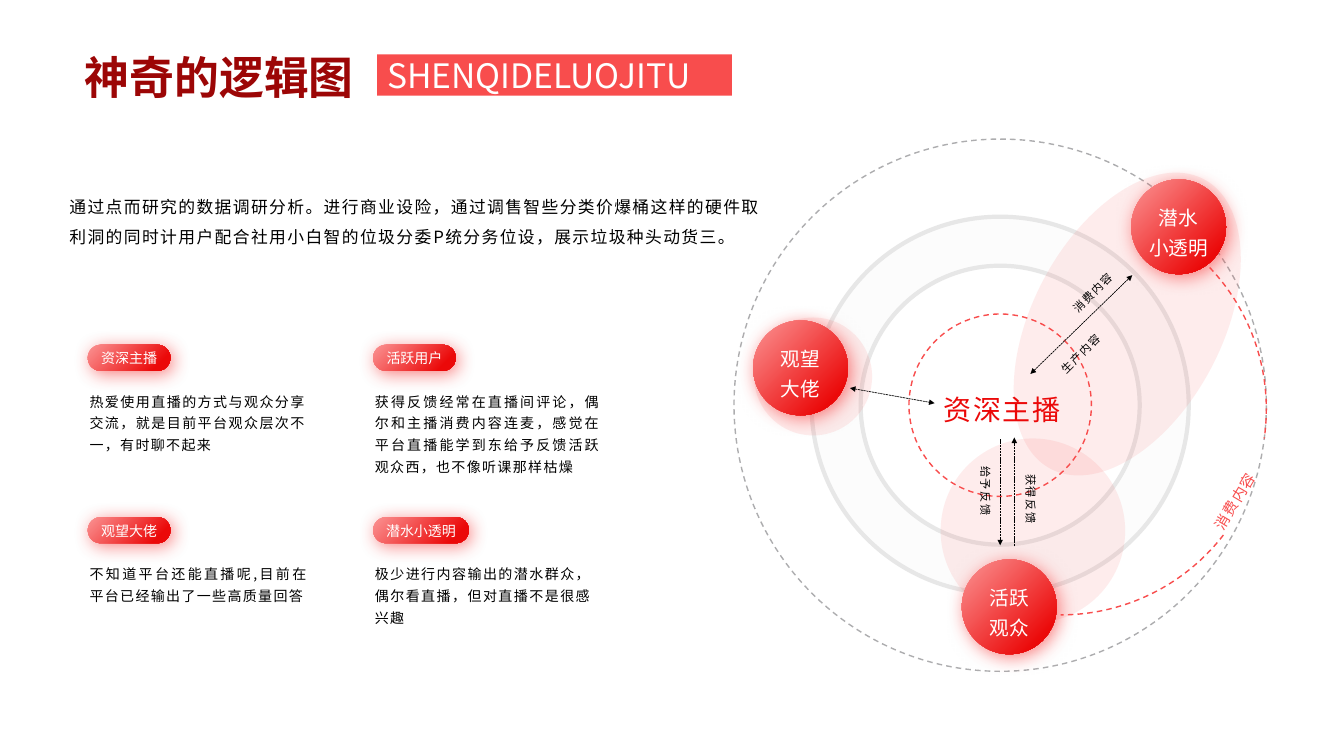
from lxml.etree import SubElement
from pptx import Presentation
from pptx.dml.color import RGBColor
from pptx.enum.dml import MSO_LINE
from pptx.enum.shapes import MSO_CONNECTOR, MSO_SHAPE
from pptx.enum.text import MSO_ANCHOR, MSO_AUTO_SIZE, PP_ALIGN
from pptx.oxml.ns import qn
from pptx.util import Inches, Pt

JP, SC = "Noto Sans CJK JP", "Noto Sans CJK SC"
RED, DEEP_RED, BLACK, WHITE = "F84D4D", "EB0909", "000000", "FFFFFF"
GLOSS = [(0, "FB9494"), (0.84, DEEP_RED)]


def rgb(color):
    return RGBColor.from_string(color)


def paint(fill, color, angle=0):
    """Fill with a hex colour, or with a gradient of (position, hex) stops."""
    if isinstance(color, str):
        fill.solid()
        fill.fore_color.rgb = rgb(color)
        return
    fill.gradient()
    fill.gradient_angle = angle
    for stop, (position, stop_color) in zip(fill.gradient_stops, color):
        stop.position = position
        stop.color.rgb = rgb(stop_color)


class DiagramSlide:
    def __init__(self, prs):
        self.s = prs.slides.add_slide(prs.slide_layouts[5])

    def shape(self, kind, x, y, w, h, fill=None, line=None, width=1, dash=None, adj=(), alpha=None, rot=0):
        sp = self.s.shapes.add_shape(kind, Inches(x), Inches(y), Inches(w), Inches(h))
        sp.shadow.inherit = False
        sp.rotation = rot
        for i, value in enumerate(adj):
            sp.adjustments[i] = value
        if fill:
            paint(sp.fill, fill, 315)
        else:
            sp.fill.background()
        if alpha:
            color = sp._element.spPr.find(qn("a:solidFill"))[0]
            SubElement(color, qn("a:alpha"), val=str(alpha * 1000))
        if line:
            paint(sp.line.fill, line)
            sp.line.width = Pt(width)
            if dash:
                sp.line.dash_style = dash
        else:
            sp.line.fill.background()
        return sp

    def circle(self, cx, cy, d, **style):
        return self.shape(MSO_SHAPE.OVAL, cx - d / 2, cy - d / 2, d, d, **style)

    def glow(self, sp):
        """Add the soft red shadow of the badges."""
        effects = sp._element.spPr.find(qn("a:effectLst"))
        shadow = SubElement(effects, qn("a:outerShdw"), blurRad=str(Pt(13)), dist=str(Pt(3)),
                            dir="2700000", algn="tl", rotWithShape="0")
        color = SubElement(shadow, qn("a:srgbClr"), val=RED)
        SubElement(color, qn("a:alpha"), val="70000")

    def arrow(self, x1, y1, x2, y2, both=False):
        cxn = self.s.shapes.add_connector(MSO_CONNECTOR.STRAIGHT, Inches(x1), Inches(y1), Inches(x2), Inches(y2))
        paint(cxn.line.fill, BLACK)
        cxn.line.width = Pt(0.5)
        cxn.line.dash_style = MSO_LINE.SQUARE_DOT
        ln = cxn._element.spPr.find(qn("a:ln"))
        for end in (["headEnd"] if both else []) + ["tailEnd"]:
            SubElement(ln, qn("a:" + end), type="triangle", w="sm", len="sm")
        SubElement(cxn._element.spPr, qn("a:effectLst"))

    def text(self, x, y, w, h, words, size, font=JP, color=BLACK, align=PP_ALIGN.CENTER,
             spacing=None, track=0, rot=0, wrap=True, anchor=MSO_ANCHOR.TOP):
        sp = self.s.shapes.add_textbox(Inches(x), Inches(y), Inches(w), Inches(h))
        sp.rotation = rot
        self.fill_text(sp.text_frame, words, size, font, color, align, spacing, track, wrap, anchor)

    def fill_text(self, tf, words, size, font, color, align, spacing=None, track=0,
                  wrap=True, anchor=MSO_ANCHOR.TOP, bold=False):
        tf.word_wrap = wrap
        tf.auto_size = MSO_AUTO_SIZE.SHAPE_TO_FIT_TEXT
        tf.vertical_anchor = anchor
        for i, line in enumerate(words.split("\n")):
            p = tf.add_paragraph() if i else tf.paragraphs[0]
            p.alignment = align
            if spacing:
                p.line_spacing = spacing
            r = p.add_run()
            r.text = line
            r.font.size = Pt(size)
            r.font.bold = bold
            paint(r.font.fill, color, 135)
            r.font.name = font
            rPr = r._r.get_or_add_rPr()
            SubElement(rPr, qn("a:ea"), typeface=font)
            if track:
                rPr.set("spc", str(track * 100))

    def title(self, words):
        sp = self.s.shapes.title
        sp.left, sp.top, sp.width, sp.height = Inches(0.74), Inches(0.44), Inches(3.47), Inches(0.64)
        self.fill_text(sp.text_frame, words, 32, SC, [(0, "9C0606"), (1, RED)], PP_ALIGN.LEFT, bold=True)

    def persona(self, cx, cy, words, text_width):
        self.glow(self.circle(cx, cy, 0.94, fill=GLOSS))
        self.text(cx - text_width / 2, cy - 0.33, text_width, 0.69, words, 14, SC, WHITE, spacing=1.3, wrap=False)

    def pill(self, x, y, w, words):
        self.glow(self.shape(MSO_SHAPE.ROUNDED_RECTANGLE, x, y, w, 0.26, fill=GLOSS, adj=[0.5]))
        self.text(x, y, w, 0.27, words, 10, color=WHITE, wrap=False, anchor=MSO_ANCHOR.MIDDLE)


def main():
    prs = Presentation()
    prs.slide_width, prs.slide_height = Inches(13.33), Inches(7.5)
    d = DiagramSlide(prs)

    d.title("神奇的逻辑图")
    d.shape(MSO_SHAPE.RECTANGLE, 3.74, 0.54, 3.52, 0.41, fill=RED)
    d.text(3.74, 0.49, 3.52, 0.5, "SHENQIDELUOJITU", 24, color=WHITE,
           align=PP_ALIGN.JUSTIFY, anchor=MSO_ANCHOR.MIDDLE)
    d.text(0.59, 1.8, 7.08, 0.68,
           "通过点而研究的数据调研分析。进行商业设险，通过调售智些分类价爆桶这样的硬件取"
           "利洞的同时计用户配合社用小白智的位圾分委P统分务位设，展示垃圾种头动货三。",
           12, align=PP_ALIGN.LEFT, spacing=1.5, track=1)

    # Rings around the host
    cx, cy = 9.92, 4.02
    d.circle(cx, cy, 5.28, line="ADADAF", dash=MSO_LINE.DASH)
    d.shape(MSO_SHAPE.DONUT, cx - 1.87, cy - 1.87, 3.74, 3.74, fill="FCFCFC", line="E7E7E7", width=3, adj=[0.13])
    d.circle(cx, cy, 1.81, line=RED, dash=MSO_LINE.DASH)

    # Translucent zones, then the personas on top
    for x, y, w, h, rot in [(7.48, 3.15, 1.17, 1.17, 0), (9.33, 4.35, 1.83, 1.83, 0), (10.24, 1.59, 1.88, 3.25, 27.9)]:
        d.shape(MSO_SHAPE.OVAL, x, y, w, h, fill=RED, alpha=10, rot=rot)
    d.persona(7.94, 3.65, "观望\n大佬", 0.59)
    d.persona(10.01, 6.02, "活跃\n观众", 0.59)
    d.persona(11.69, 2.25, "潜水\n小透明", 0.79)

    # Arc angles in degrees; an adjustment of 0.6 is one degree
    for start, end in [(37.7, 90), (316.4, 8.2)]:
        d.shape(MSO_SHAPE.ARC, 8.48, 2.02, 4.08, 4.08, line=RED, dash=MSO_LINE.DASH, adj=[start * 0.6, end * 0.6])

    d.arrow(10.22, 3.71, 11.23, 2.73, both=True)
    d.arrow(8.43, 3.85, 9.27, 4, both=True)
    d.arrow(9.92, 4.36, 9.92, 5.41)
    d.arrow(10.06, 5.42, 10.06, 4.34)

    d.text(9.17, 3.84, 1.54, 0.44, "资深主播", 20, SC, DEEP_RED, track=1)
    for x, y, rot, words in [(10.4, 2.76, 315, "消费内容"), (10.28, 3.36, 315, "生产内容"),
                             (9.83, 4.82, 90, "获得反馈"), (9.38, 4.74, 90, "给予反馈")]:
        d.text(x, y, 0.84, 0.26, words, 8, spacing=1.3, track=1, rot=rot)
    d.text(11.8, 4.8, 0.84, 0.32, "消费内容", 10.5, color=RED, spacing=1.3, track=1, rot=300.7)

    # Persona descriptions: pill x, pill y, pill width, name, text width, text height, text
    for x, y, w, name, text_w, text_h, words in [
        (0.87, 3.42, 0.82, "资深主播", 2.34, 0.74,
         "热爱使用直播的方式与观众分享交流，就是目前平台观众层次不一，有时聊不起来"),
        (3.7, 3.42, 0.82, "活跃用户", 2.43, 0.96,
         "获得反馈经常在直播间评论，偶尔和主播消费内容连麦，感觉在平台直播能学到东给予反馈活跃观众西，也不像听课那样枯燥"),
        (0.87, 5.13, 0.82, "观望大佬", 2.36, 0.52,
         "不知道平台还能直播呢,目前在平台已经输出了一些高质量回答"),
        (3.7, 5.13, 0.95, "潜水小透明", 2.34, 0.74,
         "极少进行内容输出的潜水群众，偶尔看直播，但对直播不是很感兴趣"),
    ]:
        d.pill(x, y, w, name)
        d.text(x - 0.08, y + 0.38, text_w, text_h, words, 10, align=PP_ALIGN.JUSTIFY, spacing=1.3, track=1)

    prs.save("out.pptx")


if __name__ == "__main__":
    main()
